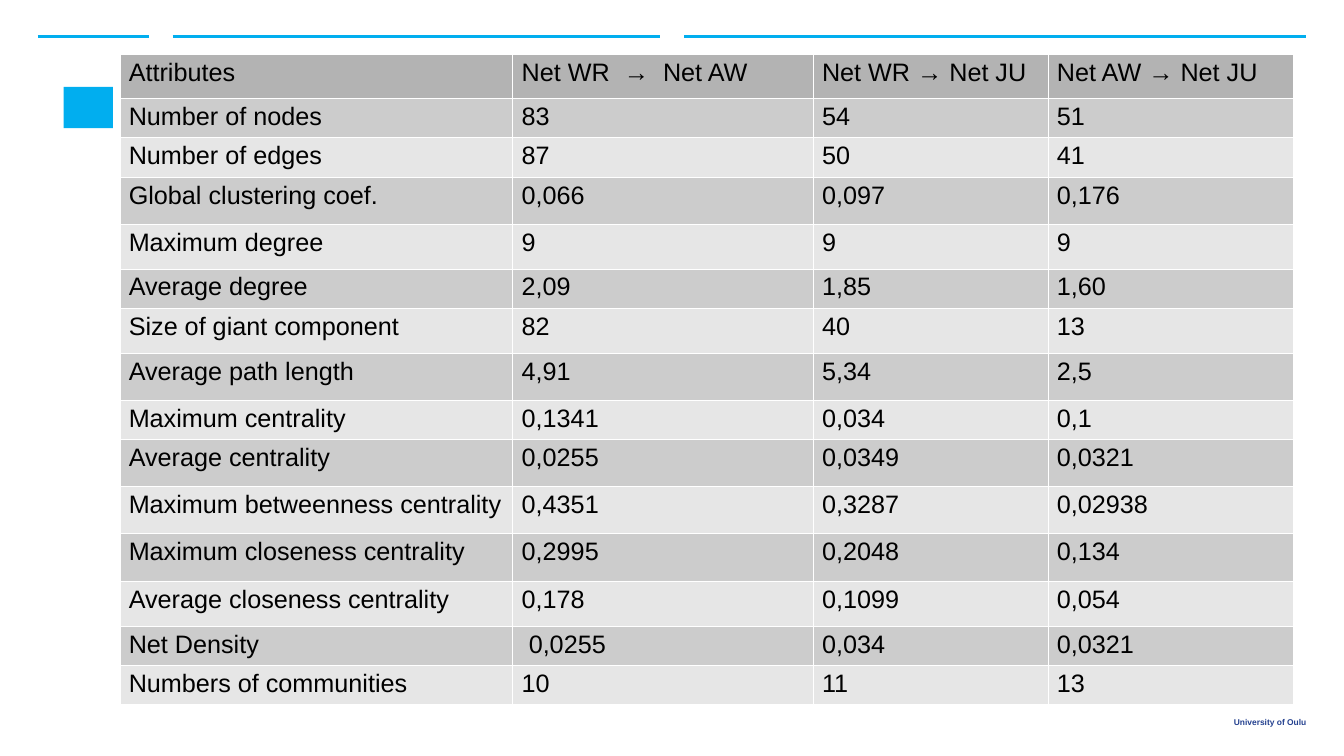
from lxml import etree
from pptx import Presentation
from pptx.dml.color import RGBColor
from pptx.enum.shapes import MSO_CONNECTOR, MSO_SHAPE
from pptx.enum.text import MSO_ANCHOR, PP_ALIGN
from pptx.oxml.ns import qn
from pptx.util import Pt

STRAIGHT = MSO_CONNECTOR.STRAIGHT
RECTANGLE = MSO_SHAPE.RECTANGLE
MIDDLE = MSO_ANCHOR.MIDDLE
RIGHT = PP_ALIGN.RIGHT

CYAN, NAVY, BLACK, WHITE = "01AEEF", "23408F", "000000", "FFFFFF"
HEADER_GREY, BAND_GREYS = "B3B3B3", ("CCCCCC", "E6E6E6")

RULE_Y = 26.2
RULE_SPANS = [(27, 106.7), (123.3, 471.6), (488.7, 933)]

COLUMN_WIDTHS = [280.7, 214.5, 167.8, 175.4]
NETWORK_ROWS = [
    (31.4, "Attributes", "Net WR  →  Net AW", "Net WR → Net JU", "Net AW → Net JU"),
    (27.1, "Number of nodes", "83", "54", "51"),
    (27.1, "Number of edges", "87", "50", "41"),
    (33.6, "Global clustering coef.", "0,066", "0,097", "0,176"),
    (32.1, "Maximum degree", "9", "9", "9"),
    (27.1, "Average degree", "2,09", "1,85", "1,60"),
    (32.1, "Size of giant component", "82", "40", "13"),
    (33.6, "Average path length", "4,91", "5,34", "2,5"),
    (27.9, "Maximum centrality", "0,1341", "0,034", "0,1"),
    (33.6, "Average centrality", "0,0255", "0,0349", "0,0321"),
    (33.6, "Maximum betweenness centrality", "0,4351", "0,3287", "0,02938"),
    (34.3, "Maximum closeness centrality", "0,2995", "0,2048", "0,134"),
    (32.1, "Average closeness centrality", "0,178", "0,1099", "0,054"),
    (27.1, "Net Density", "0,0255", "0,034", "0,0321"),
    (27.9, "Numbers of communities", "10", "11", "13"),
]
DENSITY_CELL = (13, 1)


def colour(hex_value):
    return RGBColor.from_string(hex_value)


def apply(target, values):
    for attribute, value in values.items():
        setattr(target, attribute, value)


class SlideBuilder:
    """Holds the style and the current slide, and adds elements in points."""

    font_name = "Arial"
    cell_margins = {"margin_left": Pt(6.6), "margin_right": Pt(6.6),
                    "margin_top": Pt(3.2), "margin_bottom": Pt(3.2)}
    no_margins = dict.fromkeys(
        ("margin_left", "margin_right", "margin_top", "margin_bottom"), 0)

    def __init__(self, slide):
        self.slide = slide

    def add_text(self, paragraph, text, size, text_colour, bold=False):
        run = paragraph.add_run()
        run.text = text
        apply(run.font, {"name": self.font_name, "size": Pt(size), "bold": bold})
        run.font.color.rgb = colour(text_colour)

    def rule(self, start, end, y):
        line = self.slide.shapes.add_connector(
            STRAIGHT, Pt(start), Pt(y), Pt(end), Pt(y))
        line.line.color.rgb = colour(CYAN)
        line.line.width = Pt(1.75)
        etree.SubElement(line._element.spPr, qn("a:effectLst"))

    def block(self, left, top, width, height, fill):
        emblem = self.slide.shapes.add_shape(
            RECTANGLE, Pt(left), Pt(top), Pt(width), Pt(height))
        emblem.shadow.inherit = False
        emblem.fill.solid()
        emblem.fill.fore_color.rgb = colour(fill)
        emblem.line.fill.background()

    def footer(self, left, top, width, height, text):
        frame = self.slide.shapes.add_textbox(
            Pt(left), Pt(top), Pt(width), Pt(height)).text_frame
        apply(frame, {**self.no_margins, "word_wrap": True,
                      "vertical_anchor": MIDDLE})
        frame.paragraphs[0].alignment = RIGHT
        self.add_text(frame.paragraphs[0], text, 6, NAVY, True)

    def borders(self, cell):
        properties = cell._tc.get_or_add_tcPr()
        for side in ("a:lnL", "a:lnR", "a:lnT", "a:lnB"):
            border = etree.SubElement(properties, qn(side), w=str(Pt(0.06)))
            fill = etree.SubElement(border, qn("a:solidFill"))
            etree.SubElement(fill, qn("a:srgbClr"), val=WHITE)

    def table(self, left, top, widths, rows):
        table = self.slide.shapes.add_table(
            len(rows), len(widths), Pt(left), Pt(top), Pt(sum(widths)),
            Pt(sum(row[0] for row in rows))).table
        apply(table, {"first_row": False, "horz_banding": False})
        for column, width in zip(table.columns, widths):
            column.width = Pt(width)
        for row_index, (height, *texts) in enumerate(rows):
            table.rows[row_index].height = Pt(height)
            band = BAND_GREYS[(row_index - 1) % 2] if row_index else HEADER_GREY
            for column_index, text in enumerate(texts):
                cell = table.cell(row_index, column_index)
                apply(cell, self.cell_margins)
                self.borders(cell)
                cell.fill.solid()
                cell.fill.fore_color.rgb = colour(band)
                self.add_text(cell.text_frame.paragraphs[0], text, 18, BLACK)
        return table


def main():
    presentation = Presentation()
    apply(presentation, {"slide_width": Pt(960), "slide_height": Pt(540)})
    builder = SlideBuilder(
        presentation.slides.add_slide(presentation.slide_layouts[6]))
    builder.block(45.4, 62, 35.3, 29.5, CYAN)
    for start, end in RULE_SPANS:
        builder.rule(start, end, RULE_Y)
    builder.footer(764.6, 506.9, 168.5, 17.3, "University of Oulu")
    network_table = builder.table(85.4, 38.9, COLUMN_WIDTHS, NETWORK_ROWS)
    network_table.cell(*DENSITY_CELL).margin_left = Pt(11.6)
    presentation.save("out.pptx")


if __name__ == "__main__":
    main()
